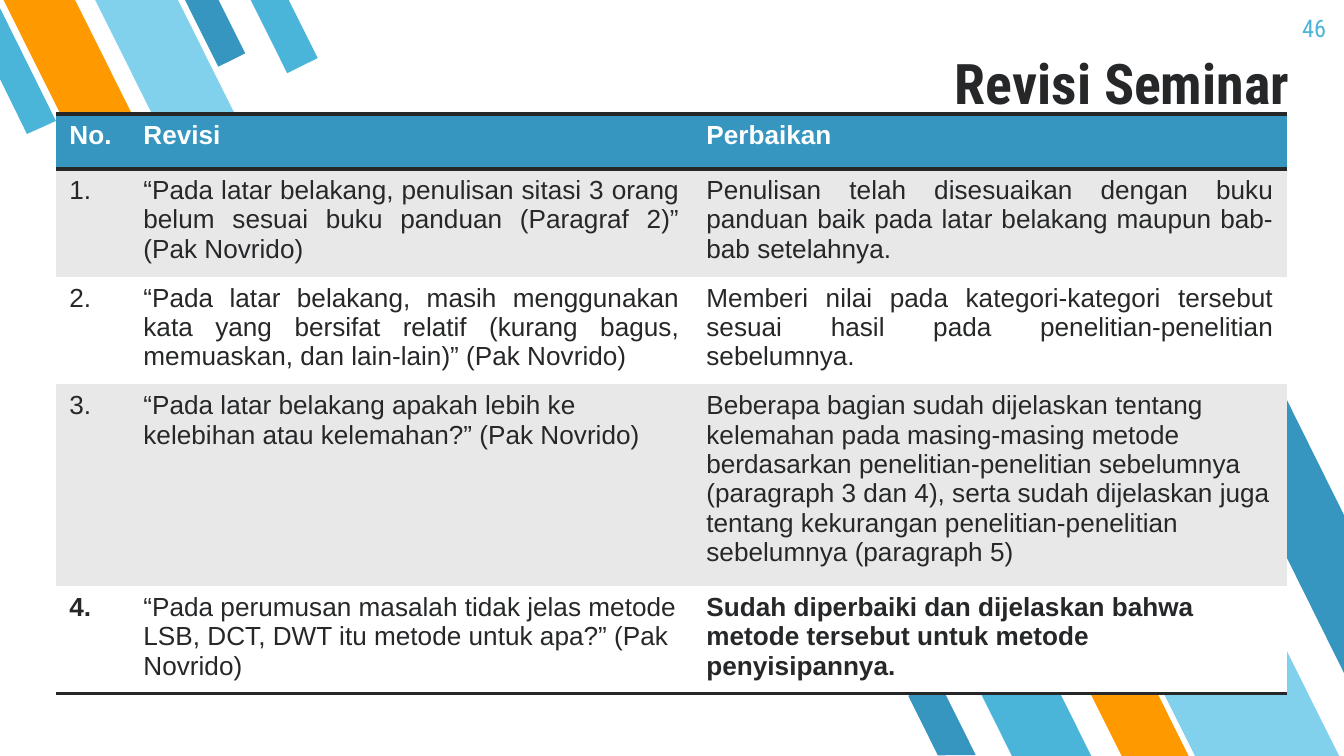
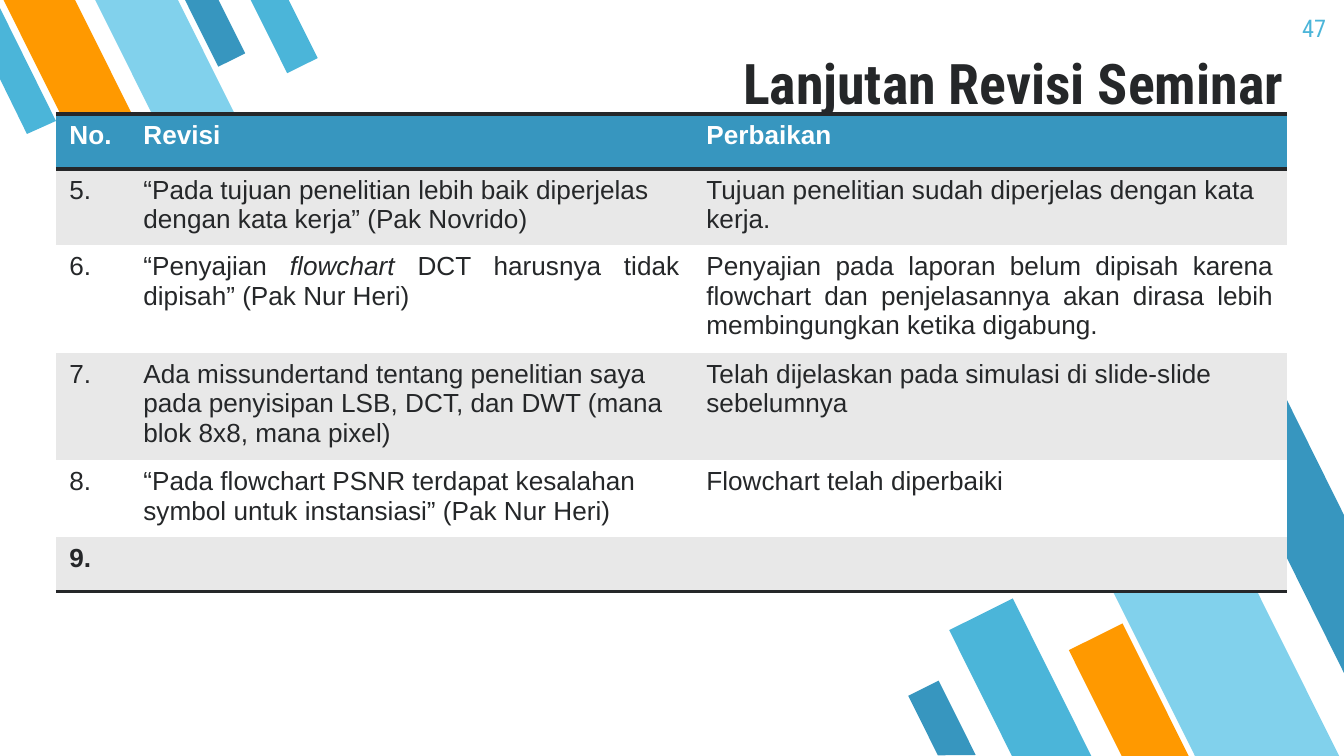
from lxml import etree
from pptx import Presentation
from pptx.dml.color import RGBColor
from pptx.enum.shapes import MSO_SHAPE
from pptx.enum.text import MSO_ANCHOR, PP_ALIGN
from pptx.oxml.ns import qn
from pptx.util import Emu, Pt

PX = 914400 / 134.4

DARK_BLUE = RGBColor(0x37, 0x96, 0xBF)
MID_BLUE = RGBColor(0x4B, 0xB5, 0xD9)
LIGHT_BLUE = RGBColor(0x81, 0xD1, 0xEC)
ORANGE = RGBColor(0xFF, 0x99, 0x00)
INK = RGBColor(0x25, 0x27, 0x29)
GREY = RGBColor(0xE8, 0xE8, 0xE8)
WHITE = RGBColor(0xFF, 0xFF, 0xFF)

HEADING_FONT = "Roboto Condensed"
BODY_FONT = "Arial"
NO_TABLE_STYLE = "{2D5ABB26-0587-4C30-8999-92F81FD0307C}"

# Stripes: left, top, width, height, rotation, colour
STRIPES = [
    (985, 605, 71, 177, 153.5, MID_BLUE),
    (1146, 482, 129, 321, 153.5, LIGHT_BLUE),
    (1099, 629, 60, 149, 153.5, ORANGE),
    (925, 684, 34, 83, 153.5, DARK_BLUE),
    (200, -11, 30, 75, 333.5, DARK_BLUE),
    (35, -24, 64, 159, 333.5, ORANGE),
    (132, -27, 74, 184, 333.5, LIGHT_BLUE),
    (267, -13, 34, 83, 333.5, MID_BLUE),
]
# Stripes cut off by the slide edge
CUT_STRIPES = [
    ([(1282, 390), (1219, 421), (1344, 673), (1344, 515)], DARK_BLUE),
    ([(27, 134), (56, 121), (0, 8), (0, 79)], MID_BLUE),
]

HEADER = ("No.", "Revisi", "Perbaikan")
COLUMN_WIDTHS = (74, 563, 594)
ROW_HEIGHT = 55
JUSTIFIED = {"1.", "2.", "6."}

# Page number, title, title left, title width, table height, rows; *...* is italic
PAGES = [
    ("46", "Revisi Seminar", 942, 376, 579, [
        ("1.",
         "“Pada latar belakang, penulisan sitasi 3 orang belum sesuai buku panduan "
         "(Paragraf 2)” (Pak Novrido)",
         "Penulisan telah disesuaikan dengan buku panduan baik pada latar belakang "
         "maupun bab-bab setelahnya."),
        ("2.",
         "“Pada latar belakang, masih menggunakan kata yang bersifat relatif (kurang "
         "bagus, memuaskan, dan lain-lain)” (Pak Novrido)",
         "Memberi nilai pada kategori-kategori tersebut sesuai hasil pada "
         "penelitian-penelitian sebelumnya."),
        ("3.",
         "“Pada latar belakang apakah lebih ke kelebihan atau kelemahan?” (Pak Novrido)",
         "Beberapa bagian sudah dijelaskan tentang kelemahan pada masing-masing metode "
         "berdasarkan penelitian-penelitian sebelumnya (paragraph 3 dan 4), serta sudah "
         "dijelaskan juga tentang kekurangan penelitian-penelitian sebelumnya "
         "(paragraph 5)"),
        ("4.",
         "“Pada perumusan masalah tidak jelas metode LSB, DCT, DWT itu metode untuk "
         "apa?” (Pak Novrido)",
         "Sudah diperbaiki dan dijelaskan bahwa metode tersebut untuk metode "
         "penyisipannya."),
    ]),
    ("47", "Lanjutan Revisi Seminar", 730, 589, 476, [
        ("5.",
         "“Pada tujuan penelitian lebih baik diperjelas dengan kata kerja” (Pak Novrido)",
         "Tujuan penelitian sudah diperjelas dengan kata kerja."),
        ("6.",
         "“Penyajian *flowchart* DCT harusnya tidak dipisah” (Pak Nur Heri)",
         "Penyajian pada laporan belum dipisah karena flowchart dan penjelasannya akan "
         "dirasa lebih membingungkan ketika digabung."),
        ("7.",
         "Ada missundertand tentang penelitian saya pada penyisipan LSB, DCT, dan DWT "
         "(mana blok 8x8, mana pixel)",
         "Telah dijelaskan pada simulasi di slide-slide sebelumnya"),
        ("8.",
         "“Pada flowchart PSNR terdapat kesalahan symbol untuk instansiasi” "
         "(Pak Nur Heri)",
         "Flowchart telah diperbaiki"),
        ("9.", "", ""),
    ]),
]


def px(*lengths):
    return [Emu(round(length * PX)) for length in lengths]


def add_rule(cell, side, position):
    """Draw a 2 pt line on one side of a cell; position is its place in tcPr."""
    line = etree.Element(qn(f"a:{side}"), w=str(Pt(2)))
    fill = etree.SubElement(line, qn("a:solidFill"))
    etree.SubElement(fill, qn("a:srgbClr"), val=str(INK))
    cell._tc.get_or_add_tcPr().insert(position, line)


prs = Presentation()
prs.slide_width, prs.slide_height = px(1344, 756)

for number, title, title_left, title_width, table_height, revisions in PAGES:
    slide = prs.slides.add_slide(prs.slide_layouts[6])

    decorations = []
    for *box, rotation, colour in STRIPES:
        stripe = slide.shapes.add_shape(MSO_SHAPE.FLOWCHART_MANUAL_INPUT, *px(*box))
        stripe.rotation = rotation
        stripe.element.spPr.xfrm.set("flipH", "1")
        decorations.append((stripe, colour))
    for corners, colour in CUT_STRIPES:
        outline = slide.shapes.build_freeform(*corners[0], scale=PX)
        outline.add_line_segments(corners[1:], close=True)
        decorations.append((outline.convert_to_shape(), colour))
    for stripe, colour in decorations:
        stripe.shadow.inherit = False
        stripe.fill.solid()
        stripe.fill.fore_color.rgb = colour
        stripe.line.fill.background()

    for text, box, size, colour, bold, align, anchor in [
        (number, (1258, 0, 81, 58), 13, MID_BLUE, False, PP_ALIGN.RIGHT, MSO_ANCHOR.TOP),
        (title, (title_left, 30, title_width, 99), 30, INK, True, PP_ALIGN.LEFT,
         MSO_ANCHOR.BOTTOM),
    ]:
        frame = slide.shapes.add_textbox(*px(*box)).text_frame
        frame.word_wrap = True
        frame.vertical_anchor = anchor
        (frame.margin_left, frame.margin_top,
         frame.margin_right, frame.margin_bottom) = px(13, 13, 13, 13)
        frame.text = text
        paragraph = frame.paragraphs[0]
        paragraph.alignment = align
        font = paragraph.runs[0].font
        font.name, font.size, font.bold = HEADING_FONT, Pt(size), bold
        font.color.rgb = colour

    rows = [HEADER, *revisions]
    last = len(rows) - 1
    holder = slide.shapes.add_table(
        len(rows), len(HEADER),
        *px(56, 114, sum(COLUMN_WIDTHS), ROW_HEIGHT * len(rows)))
    holder.height = px(table_height)[0]
    table = holder.table
    table.first_row = table.horz_banding = False
    for style in holder.element.iter(qn("a:tableStyleId")):
        style.text = NO_TABLE_STYLE
    for column, width in zip(table.columns, px(*COLUMN_WIDTHS)):
        column.width = width

    for r, row in enumerate(rows):
        for c, text in enumerate(row):
            cell = table.cell(r, c)
            cell.fill.solid()
            cell.fill.fore_color.rgb = DARK_BLUE if r == 0 else GREY if r % 2 else WHITE
            if r == 0:
                add_rule(cell, "lnT", 0)
                add_rule(cell, "lnB", 1)
            elif r == last:
                add_rule(cell, "lnB", 0)

            paragraph = cell.text_frame.paragraphs[0]
            if row[0] in JUSTIFIED and c > 0:
                paragraph.alignment = PP_ALIGN.JUSTIFY
            for part, words in enumerate(text.split("*")):
                if not words:
                    continue
                run = paragraph.add_run()
                run.text = words
                font = run.font
                font.name, font.size = BODY_FONT, Pt(14)
                font.bold = r == 0 or (r == last and c != 1)
                font.italic = part % 2 == 1
                font.color.rgb = WHITE if r == 0 else INK

prs.save("out.pptx")
